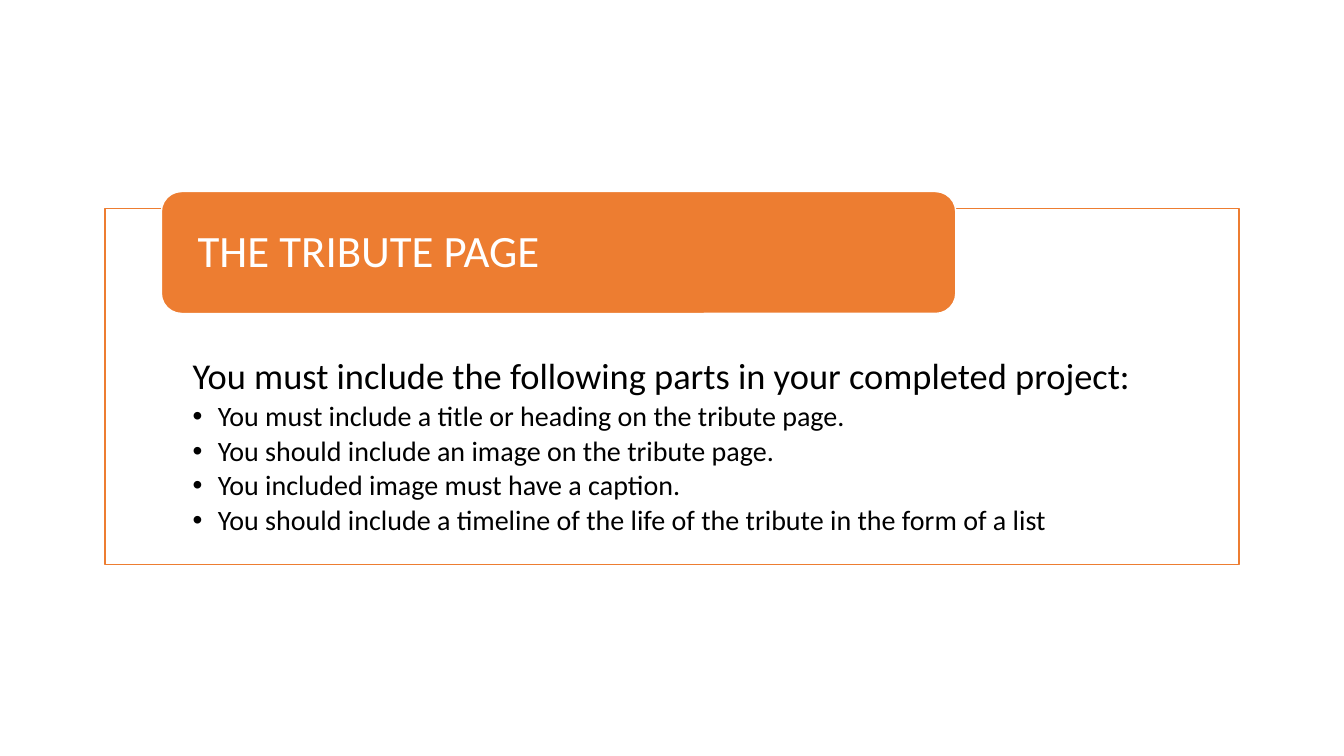
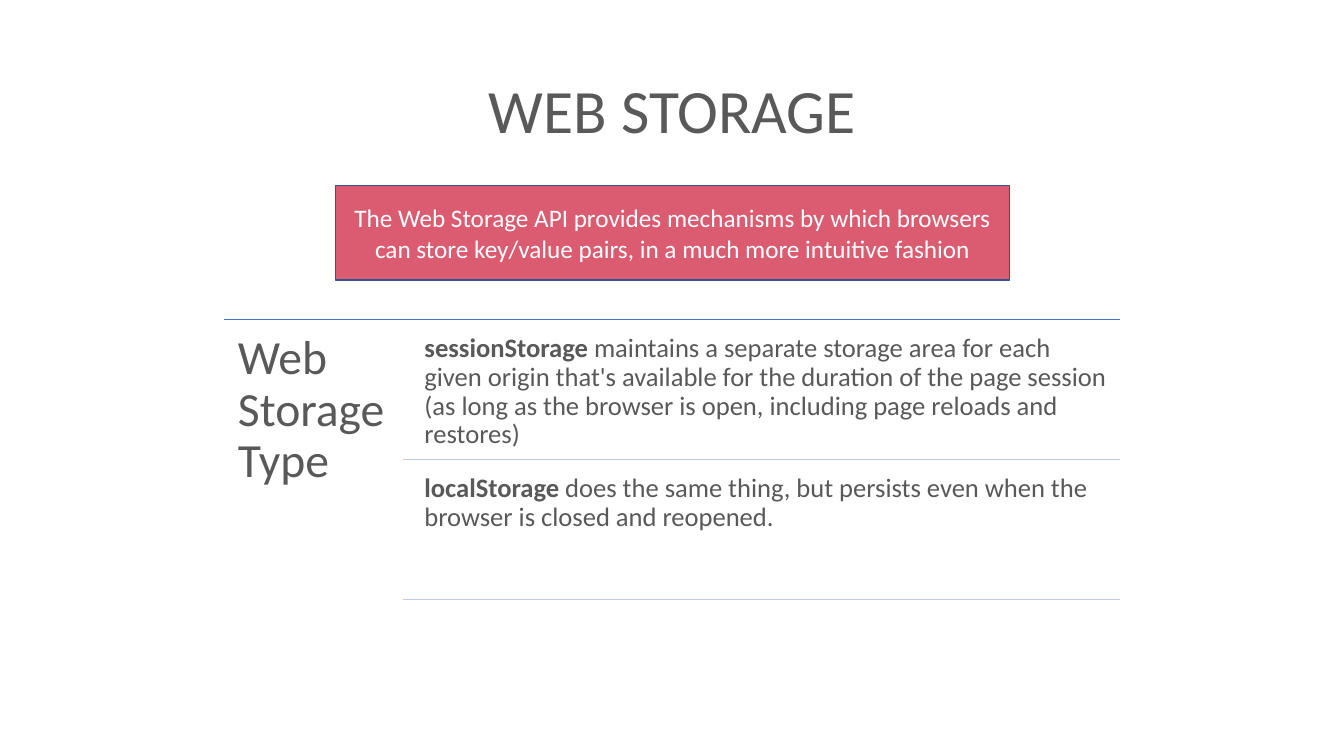
"""Build two slides: a tribute page brief and a web storage overview."""
import dataclasses

import lxml.etree
import pptx
import pptx.dml.color
import pptx.enum.shapes
import pptx.enum.text
import pptx.oxml.ns
import pptx.util

Inches = pptx.util.Inches
Pt = pptx.util.Pt
Shape = pptx.enum.shapes.MSO_SHAPE
Align = pptx.enum.text.PP_ALIGN
Anchor = pptx.enum.text.MSO_ANCHOR
Fit = pptx.enum.text.MSO_AUTO_SIZE


@dataclasses.dataclass(frozen=True)
class Theme:
    """Colours, font and type sizes of the deck."""
    font: str = "Calibri"
    white: str = "FFFFFF"
    black: str = "000000"
    grey: str = "595959"
    orange: str = "ED7D31"
    rose: str = "DB5B70"
    navy: str = "325491"
    blue: str = "4472C4"
    pale: str = "C1C9E4"
    head: int = 44
    side: int = 34
    band: int = 32
    lead: int = 26
    item: int = 20
    row: int = 19
    note: int = 18


THEME = Theme()


def apply(thing, vals):
    """Set each named value on an object."""
    for name, val in vals.items():
        setattr(thing, name, val)


def tint(text):
    """Turn a hex string into a colour."""
    return pptx.dml.color.RGBColor.from_string(text)


def place(shape, box):
    """Move and size a shape to a box in inches."""
    names = ("left", "top", "width", "height")
    apply(shape, dict(zip(names, map(Inches, box))))


def paint(shape, fill, line):
    """Give a shape a plain fill and a thin outline."""
    shape.fill.solid()
    shape.fill.fore_color.rgb = tint(fill)
    shape.line.color.rgb = tint(line)
    shape.line.width = Pt(1)


def frame(shape, pads=(0.1, 0.05, 0.1, 0.05), anchor=Anchor.TOP):
    """Set the margins and anchor of a text frame and return it."""
    names = ("margin_left", "margin_top", "margin_right", "margin_bottom")
    vals = dict(zip(names, map(Inches, pads)))
    vals.update(word_wrap=True, auto_size=Fit.NONE, vertical_anchor=anchor)
    apply(shape.text_frame, vals)
    return shape.text_frame


def mark(para, sign):
    """Set a hanging indent with a bullet sign, or with none."""
    props = para._p.get_or_add_pPr()
    props.set("marL", str(Inches(0.25)))
    props.set("indent", str(-Inches(0.25)))
    tag = "a:buChar" if sign else "a:buNone"
    node = lxml.etree.SubElement(props, pptx.oxml.ns.qn(tag))
    if sign:
        node.set("char", sign)


def write(para, runs, size, color, align=Align.LEFT, pitch=0.9, after=0):
    """Fill a paragraph with pairs of text and bold flag."""
    apply(para, {"alignment": align, "line_spacing": pitch,
                 "space_before": Pt(0), "space_after": Pt(after)})
    for text, bold in runs:
        run = para.add_run()
        run.text = text
        apply(run.font, {"name": THEME.font, "size": Pt(size), "bold": bold})
        run.font.color.rgb = tint(color)


def panel(slide, kind, box, fill, line):
    """Add a filled preset shape."""
    shape = slide.shapes.add_shape(kind, *map(Inches, box))
    shape.shadow.inherit = False
    paint(shape, fill, line)
    return shape


def label(slide, box, pad, runs, size):
    """Add a grey text box with equal margins."""
    shape = slide.shapes.add_textbox(*map(Inches, box))
    text = frame(shape, (pad,) * 4)
    write(text.paragraphs[0], runs, size, THEME.grey)


def rule(slide, left, right, top, color):
    """Add a thin level line."""
    kind = pptx.enum.shapes.MSO_CONNECTOR.STRAIGHT
    line = slide.shapes.add_connector(kind, *map(Inches, (left, top, right, top)))
    line.line.color.rgb = tint(color)
    line.line.width = Pt(1)
    lxml.etree.SubElement(line.element.spPr, pptx.oxml.ns.qn("a:effectLst"))


def title(slide, box, text, size, color, align, pads=(0.1, 0.05, 0.1, 0.05)):
    """Place and fill the title, in front of what is there."""
    shape = slide.shapes.title
    place(shape, box)
    para = frame(shape, pads, Anchor.MIDDLE).paragraphs[0]
    write(para, [(text, False)], size, color, align)
    shape.element.getparent().append(shape.element)


def tribute(deck):
    """Build the slide on the parts of the tribute page."""
    slide = deck.slides.add_slide(deck.slide_layouts[1])
    body = slide.placeholders[1]
    place(body, (1.04, 2.07, 11.25, 3.53))
    paint(body, THEME.white, THEME.orange)
    text = frame(body, (0.87, 1.48, 0.87, 0.16))
    lead = "You must include the following parts in your completed project:"
    items = (
        "You must include a title or heading on the tribute page.",
        "You should include an image on the tribute page.",
        "You included image must have a caption.",
        "You should include a timeline of the life of the tribute in the form of a list",
    )
    para = text.paragraphs[0]
    mark(para, None)
    write(para, [(lead, False)], THEME.lead, THEME.black, after=3.9)
    for item in items:
        para = text.add_paragraph()
        mark(para, "•")
        write(para, [(item, False)], THEME.item, THEME.black, after=3)
    panel(slide, Shape.ROUNDED_RECTANGLE, (1.6, 1.9, 7.88, 1.21),
          THEME.orange, THEME.white)
    title(slide, (1.66, 1.96, 7.76, 1.1), "THE TRIBUTE PAGE", THEME.band,
          THEME.white, Align.LEFT, (0.3, 0, 0.3, 0))


def storage(deck):
    """Build the slide on the types of web storage."""
    slide = deck.slides.add_slide(deck.slide_layouts[5])
    title(slide, (0.92, 0.4, 11.5, 1.45), "WEB STORAGE", THEME.head,
          THEME.grey, Align.CENTER)
    note = panel(slide, Shape.RECTANGLE, (3.33, 1.84, 6.68, 0.94),
                 THEME.rose, THEME.navy)
    text = ("The Web Storage API provides mechanisms by which browsers can store "
            "key/value pairs, in a much more intuitive fashion")
    write(frame(note, anchor=Anchor.MIDDLE).paragraphs[0], [(text, False)],
          THEME.note, THEME.white, Align.CENTER, 1.0)
    left, right, top, step = 2.22, 11.11, 3.17, 1.39
    rule(slide, left, right, top, THEME.blue)
    label(slide, (left, top, 1.78, 2.85), 0.14,
          [("Web Storage Type", False)], THEME.side)
    rows = (
        ("sessionStorage", " maintains a separate storage area for each given origin "
         "that's available for the duration of the page session (as long as the "
         "browser is open, including page reloads and restores)"),
        ("localStorage", " does the same thing, but persists even when the browser "
         "is closed and reopened."),
    )
    for num, (term, rest) in enumerate(rows):
        label(slide, (4.13, top + 0.07 + num * step, 6.98, 1.32), 0.08,
              [(term, True), (rest, False)], THEME.row)
        rule(slide, 4, right, top + (num + 1) * step, THEME.pale)


def main():
    """Build and save the deck."""
    deck = pptx.Presentation()
    apply(deck, {"slide_width": Inches(13.33), "slide_height": Inches(7.5)})
    tribute(deck)
    storage(deck)
    deck.save("out.pptx")


if __name__ == "__main__":
    main()
